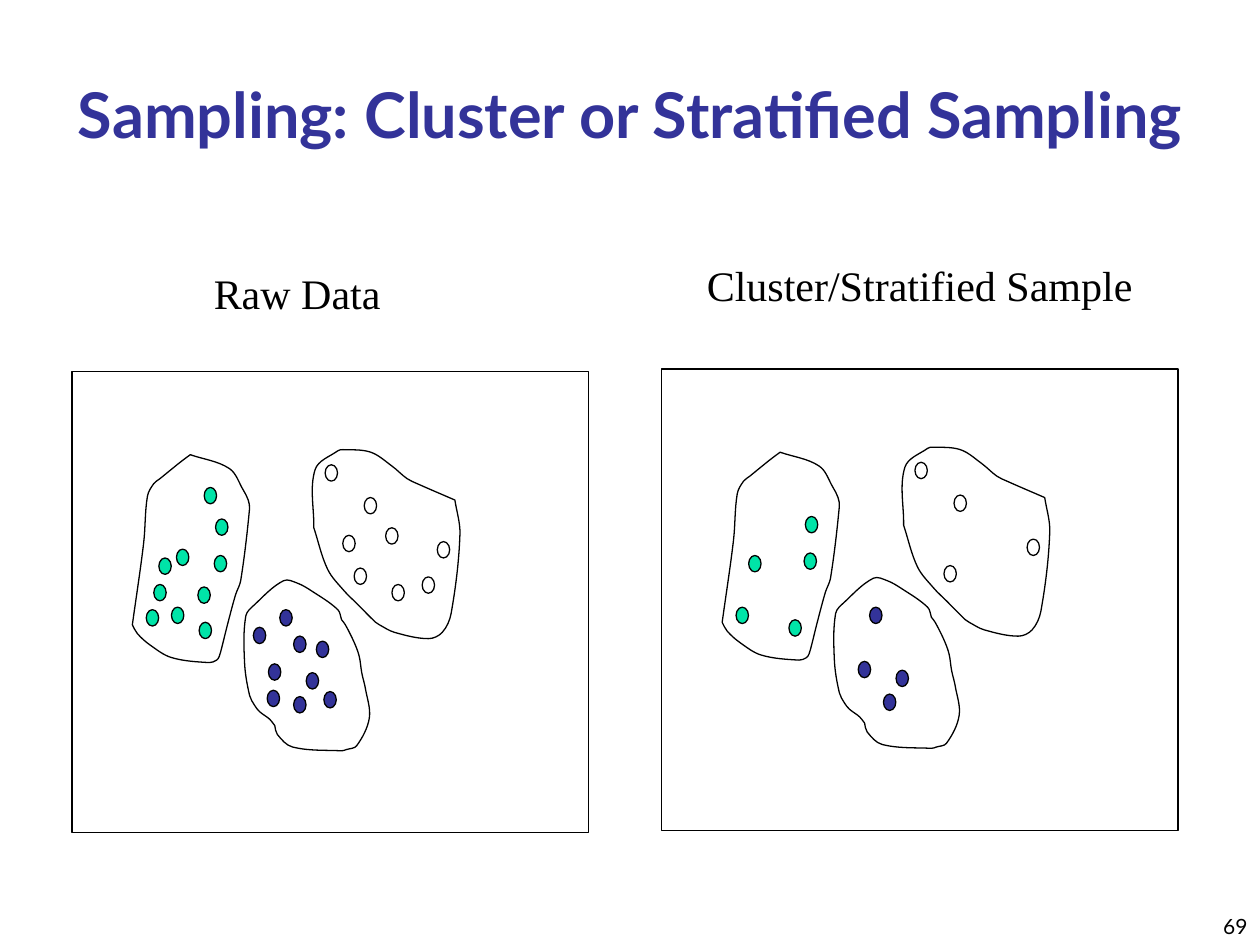
"""Build the slide on cluster or stratified sampling."""
from lxml import etree
from pptx import Presentation
from pptx.dml.color import RGBColor
from pptx.enum.shapes import MSO_SHAPE as Shape
from pptx.enum.text import MSO_ANCHOR as Anchor, MSO_AUTO_SIZE as AutoSize, PP_ALIGN as Align
from pptx.oxml.ns import qn
from pptx.util import Cm, Pt

theme = {
    "ink": RGBColor(0, 0, 0),
    "accent": RGBColor(0x33, 0x33, 0x99),
    "green": RGBColor(0x00, 0xE4, 0xA8),
    "white": RGBColor(255, 255, 255),
    "line": Pt(0.74),
    "title": Pt(36),
    "label": Pt(24),
    "number": Pt(12),
    "sans": "Lato",
    "serif": "Times New Roman",
}
GRID = 0.0254
FINE = 100

clusters = [
    {
        "color": "white",
        "sampled": [(232, 100), (224, 156), (290, 135), (201, 74)],
        "others": [(249, 124), (215, 130), (278, 163), (254, 169)],
        "corners": [(304, 102), (192, 124)],
        "outline": [
            (304, 102), (308, 129), (301, 192), (294, 207), (283, 212), (256, 207), (244, 201),
            (241, 199), (226, 184), (216, 174), (203, 157), (192, 124), (193, 78), (211, 63),
            (215, 62), (237, 64), (254, 75), (266, 85), (274, 89),
        ],
    },
    {
        "color": "accent",
        "sampled": [(176, 258), (186, 239), (156, 232), (165, 189)],
        "others": [(144, 203), (194, 214), (155, 253), (176, 210), (200, 254)],
        "corners": [(161, 281), (214, 197)],
        "outline": [
            (161, 281), (157, 276), (149, 270), (145, 265), (141, 257), (137, 231), (138, 194),
            (145, 185), (168, 166), (179, 168), (190, 174), (211, 189), (214, 197), (217, 201),
            (224, 215), (228, 226), (230, 239), (233, 252), (236, 275), (226, 297), (218, 300),
            (214, 301), (175, 298), (163, 288),
        ],
    },
    {
        "color": "green",
        "sampled": [(59, 189), (69, 148), (101, 199), (113, 146), (114, 117)],
        "others": [(79, 187), (65, 169), (100, 171), (83, 141), (105, 92)],
        "corners": [(48, 201), (94, 66)],
        "outline": [
            (130, 177), (124, 199), (119, 219), (117, 226), (115, 229), (109, 231), (79, 227),
            (62, 217), (52, 208), (48, 201), (57, 136), (60, 99), (65, 89), (70, 85), (81, 76),
            (86, 72), (94, 66), (125, 77), (136, 94), (140, 102), (141, 109), (134, 166),
        ],
    },
]


def bend(freeform, outline, corners):
    """Turn the straight sides of a closed freeform into curves."""
    points = [complex(*point) for point in outline]
    origin = complex(min(x for x, _ in outline), min(y for _, y in outline))
    count = len(points)
    for i, side in enumerate(list(freeform.element.iter(qn("a:lnTo")))):
        after = (i + 1) % count
        start, end = points[i], points[after]
        handles = []
        for place, anchor, sign in ((i, start, 1), (after, end, -1)):
            chord = points[(place + 1) % count] - points[place - 1]
            if outline[place] in corners:
                chord = end - start
            handles.append(anchor + sign * abs(end - start) / 3 * chord / abs(chord))
        curve = etree.Element(qn("a:cubicBezTo"))
        for handle in handles:
            local = (handle - origin) * FINE
            etree.SubElement(
                curve, qn("a:pt"), x=str(round(local.real)), y=str(round(local.imag))
            )
        curve.append(side[0])
        side.getparent().replace(side, curve)


def style(shape, fill=None):
    """Give a shape a thin outline and an optional fill."""
    shape.shadow.inherit = False
    shape.line.color.rgb = theme["ink"]
    shape.line.width = theme["line"]
    if fill is None:
        shape.fill.background()
    else:
        shape.fill.solid()
        shape.fill.fore_color.rgb = fill


presentation = Presentation()
presentation.slide_width, presentation.slide_height = Cm(25.4), Cm(19.05)
slide = presentation.slides.add_slide(presentation.slide_layouts[5])
shapes = slide.shapes

panels = [(1.45, 7.49, True), (13.34, 7.44, False)]
for left, top, is_raw in panels:
    style(shapes.add_shape(Shape.RECTANGLE, Cm(left), Cm(top), Cm(10.41), Cm(9.3)))
    for cluster in clusters:
        outline = cluster["outline"]
        vertices = [(x * FINE, y * FINE) for x, y in outline]
        builder = shapes.build_freeform(*vertices[0], scale=Cm(GRID) / FINE)
        builder.add_line_segments(vertices[1:] + vertices[:1], close=True)
        freeform = builder.convert_to_shape(Cm(left), Cm(top))
        bend(freeform, outline, cluster["corners"])
        style(freeform)
        dots = cluster["sampled"] + (cluster["others"] if is_raw else [])
        for x, y in dots:
            dot = shapes.add_shape(
                Shape.FLOWCHART_CONNECTOR,
                Cm(left + x * GRID), Cm(top + y * GRID), Cm(0.25), Cm(0.33),
            )
            style(dot, theme[cluster["color"]])

title = shapes.title
title.left, title.top, title.width, title.height = Cm(0.64), Cm(0.84), Cm(24.13), Cm(2.34)
raw_label = shapes.add_textbox(Cm(4.06), Cm(5.26), Cm(4.06), Cm(1.27))
sample_label = shapes.add_textbox(Cm(14), Cm(5.11), Cm(9.09), Cm(1.27))
number = shapes.add_textbox(Cm(20.12), Cm(17.78), Cm(5.28), Cm(1.27))

label_font = {"name": theme["serif"], "size": theme["label"], "bold": False}
label_frame = {"word_wrap": False, "auto_size": AutoSize.SHAPE_TO_FIT_TEXT}
fixed_frame = {
    "word_wrap": True, "auto_size": AutoSize.NONE, "vertical_anchor": Anchor.BOTTOM,
}
title_font = {"name": theme["sans"], "size": theme["title"], "bold": True}
number_font = {"name": theme["sans"], "size": theme["number"], "bold": False}
texts = [
    (title, "Sampling: Cluster or Stratified Sampling", "accent", Align.CENTER,
     fixed_frame, title_font),
    (raw_label, "Raw Data", "ink", Align.LEFT, label_frame, label_font),
    (sample_label, "Cluster/Stratified Sample", "ink", Align.LEFT, label_frame, label_font),
    (number, "69", "ink", Align.RIGHT, fixed_frame, number_font),
]
for shape, words, color, alignment, frame_format, font_format in texts:
    frame = shape.text_frame
    for name, value in frame_format.items():
        setattr(frame, name, value)
    paragraph = frame.paragraphs[0]
    paragraph.alignment = alignment
    run = paragraph.add_run()
    run.text = words
    run.font.color.rgb = theme[color]
    for name, value in font_format.items():
        setattr(run.font, name, value)

presentation.save("out.pptx")
